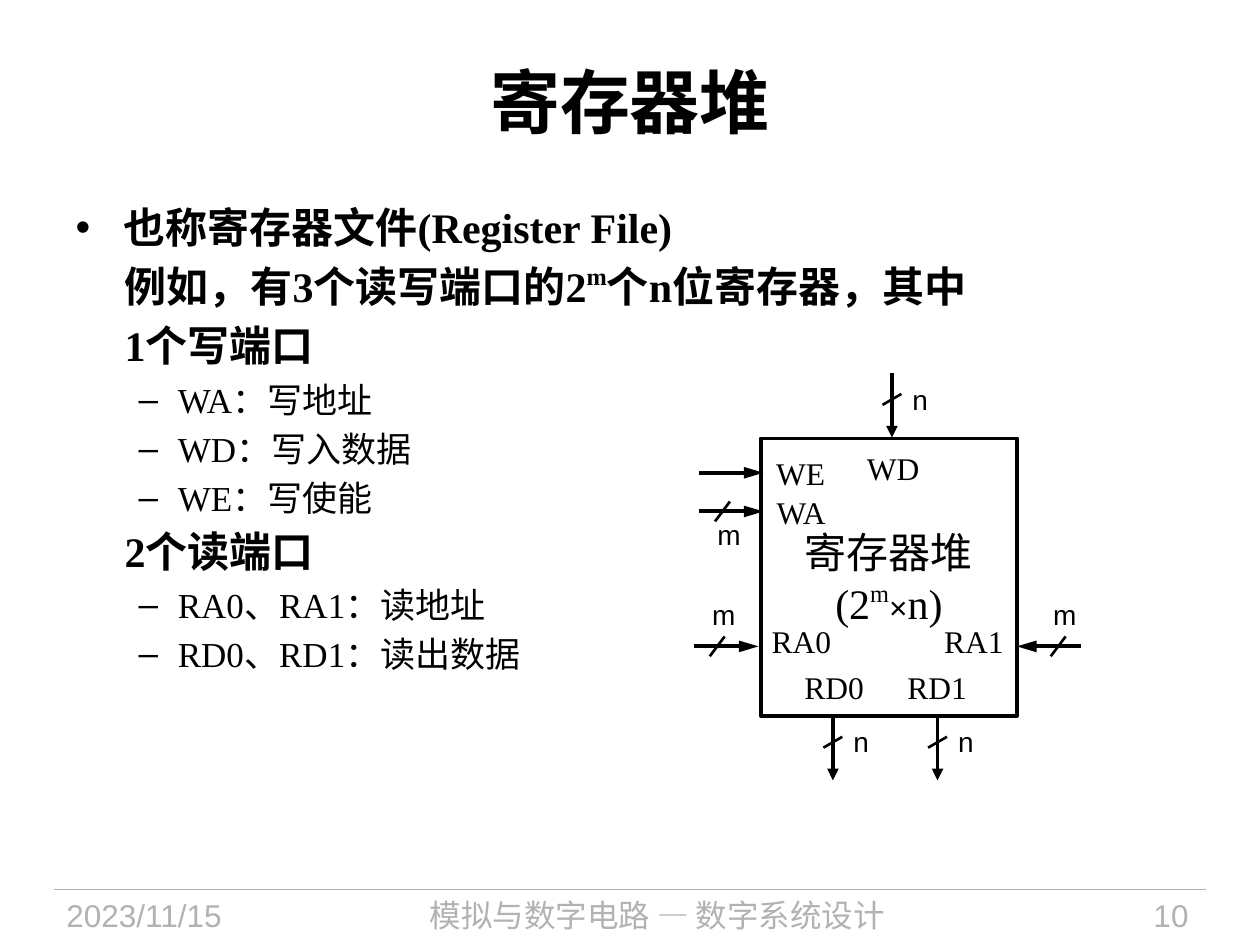
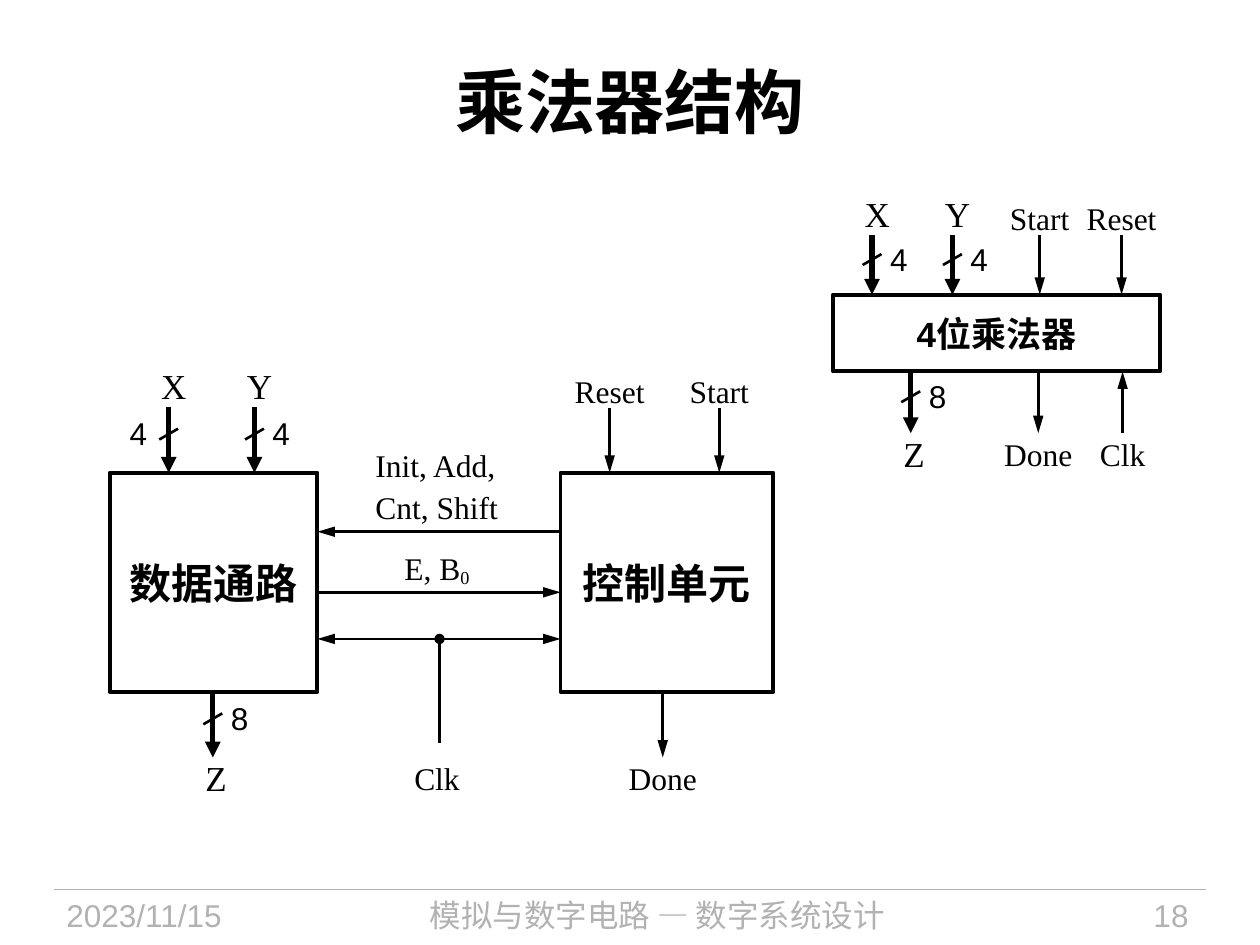
import pptx
import pptx.util
import pptx.dml.color
import pptx.enum.shapes
import pptx.enum.text
import pptx.oxml.ns
from lxml import etree

Cm, Pt = pptx.util.Cm, pptx.util.Pt
ALIGN = pptx.enum.text.PP_ALIGN
MIDDLE = pptx.enum.text.MSO_ANCHOR.MIDDLE
HUES = {"ink": "000000", "foot": "B2B2B2"}
SERIF, SANS, HAN = "Times New Roman", "Arial", "Noto Sans CJK SC"


def rgb(name):
    return pptx.dml.color.RGBColor.from_string(HUES[name])


def sub(parent, tag, **attrs):
    return etree.SubElement(parent, pptx.oxml.ns.qn(tag), attrs)


# ---- text ----
def write(para, text, size=18, font=SERIF, hue="ink", bold=False,
          align=None, lead=None, after=None):
    """Fill a paragraph; text is a string or a list of (string, changes)."""
    para.alignment = align
    if lead:
        para.line_spacing = lead
    if after is not None:
        para.space_after = Pt(after)
    for part, change in [(text, {})] if isinstance(text, str) else text:
        run = para.add_run()
        run.text = part
        run.font.size = Pt(change.get("size", size))
        run.font.name = change.get("font", font)
        run.font.bold = bold
        run.font.color.rgb = rgb(hue)
        props = run.font._element
        sub(props, "a:ea", typeface=HAN)
        if "base" in change:
            props.set("baseline", str(change["base"] * 1000))


def fill(frame, lines, **style):
    for i, line in enumerate(lines):
        para = frame.add_paragraph() if i else frame.paragraphs[0]
        write(para, line, **style)


def label(slide, lines, x, y, w=None, pad=0, size=18, lead=1.1,
          align=ALIGN.CENTER, **style):
    """Place text with its top at y, centred on x unless a width is given."""
    if isinstance(lines, str):
        lines = [lines]
    if w is None:
        w = max(len(line) for line in lines) * size * 0.02
        x -= w / 2
    h = len(lines) * size * 0.04 * lead + pad
    box = slide.shapes.add_textbox(Cm(x), Cm(y), Cm(w), Cm(h))
    frame = box.text_frame
    frame.word_wrap = False
    frame.margin_left = frame.margin_right = Cm(pad)
    frame.margin_top = frame.margin_bottom = Cm(pad / 2)
    fill(frame, lines, size=size, lead=lead, align=align, **style)


# ---- lines and blocks ----
def wire(slide, x1, y1, x2, y2, width=1.5, hue="ink", head=None, tail=None,
         reach="lg"):
    line = slide.shapes.add_connector(
        pptx.enum.shapes.MSO_CONNECTOR.STRAIGHT, Cm(x1), Cm(y1), Cm(x2), Cm(y2))
    line.line.width = Pt(width)
    line.line.color.rgb = rgb(hue)
    stroke = line.line._get_or_add_ln()
    for tag, kind in (("a:headEnd", head), ("a:tailEnd", tail)):
        if kind:
            size = "med" if kind == "oval" else reach
            sub(stroke, tag, type=kind, w="med", len=size)
    sub(line.element.spPr, "a:effectLst")
    return line


def bus(slide, x, y, dx, dy, bits, off=(0.36, -0.31), width=3.0, size=18,
        reach="med"):
    """Arrow with a slash across it and its bit width at an offset."""
    wire(slide, x, y, x + dx, y + dy, width, tail="triangle", reach=reach)
    part, sx, sy = (0.41, 0.19, 0.11) if dy else (0.36, 0.15, 0.2)
    mx, my = x + dx * part, y + dy * part
    wire(slide, mx + sx, my - sy, mx - sx, my + sy)
    label(slide, bits, mx + off[0], my + off[1], w=size * 0.02, size=size,
          font=SANS, lead=0.9)


def block(slide, x, y, w, h, lines, **style):
    shape = slide.shapes.add_shape(
        pptx.enum.shapes.MSO_SHAPE.RECTANGLE, Cm(x), Cm(y), Cm(w), Cm(h))
    shape.shadow.inherit = False
    shape.fill.background()
    shape.line.width = Pt(2.25)
    shape.line.color.rgb = rgb("ink")
    frame = shape.text_frame
    frame.word_wrap = False
    frame.vertical_anchor = MIDDLE
    frame.margin_left = frame.margin_right = 0
    frame.margin_top = frame.margin_bottom = 0
    fill(frame, lines, align=ALIGN.CENTER, **style)


def pin(slide, name, x, edge, dy, bits=None, into=None, off=(0.36, -0.31)):
    """Named signal that runs from a block edge outward by dy."""
    into = dy < 0 if into is None else into
    outer = edge + dy
    start, end = (outer, edge) if into else (edge, outer)
    if bits:
        bus(slide, x, start, 0, end - start, bits, off)
        top = outer - 0.77 if dy < 0 else outer + 0.08
        label(slide, name, x + 0.05, top, size=20, lead=0.9)
    else:
        wire(slide, x, start, x, end, tail="triangle")
        label(slide, name, x, outer - 0.8 if dy < 0 else outer - 0.04)


# ---- shared slide parts ----
def start(prs, layout, title, number):
    slide = prs.slides.add_slide(prs.slide_layouts[layout])
    head = slide.shapes.title
    head.left, head.top, head.width, head.height = Cm(1.27), Cm(0.43), Cm(22.86), Cm(3.18)
    head.text_frame.vertical_anchor = MIDDLE
    write(head.text_frame.paragraphs[0], title, size=40, bold=True,
          align=ALIGN.CENTER)
    for text, x, w, align, font in (
            ("2023/11/15", 1.09, 4.78, ALIGN.LEFT, SANS),
            ("模拟与数字电路 — 数字系统设计", 6.1, 14.3, ALIGN.CENTER, HAN),
            (str(number), 20.83, 3.38, ALIGN.RIGHT, SANS)):
        label(slide, text, x, 17.93, w, pad=0.25, lead=1.0, align=align,
              font=font, hue="foot")
    return slide


def rule(prs, slide):
    """Put the footer line on the master."""
    line = wire(slide, 1.09, 17.93, 24.31, 17.93, 0.75, "foot")
    prs.slide_master.shapes.element.append(line.element)


# ---- register file ----
def points(slide, x, y, w, h):
    body = slide.placeholders[1]
    body.left, body.top, body.width, body.height = Cm(x), Cm(y), Cm(w), Cm(h)
    frame = body.text_frame
    frame.auto_size = pptx.enum.text.MSO_AUTO_SIZE.NONE
    lines = (
        ("•", "也称寄存器文件(Register File)"),
        ("", [("例如，有3个读写端口的2", {}), ("m", {"base": 40}),
              ("个n位寄存器，其中", {})]),
        ("", "1个写端口"),
        ("–", "WA：写地址"),
        ("–", "WD：写入数据"),
        ("–", "WE：写使能"),
        ("", "2个读端口"),
        ("–", "RA0、RA1：读地址"),
        ("–", "RD0、RD1：读出数据"))
    forms = {"•": (0.97, -0.97), "": (0.99, 0), "–": (2.06, -0.79)}
    for i, (mark, text) in enumerate(lines):
        para = frame.add_paragraph() if i else frame.paragraphs[0]
        minor = mark == "–"
        para.level = int(minor)
        para.space_before = Pt(0)
        size = 20 if minor else 24
        props = para._p.get_or_add_pPr()
        left, hang = forms[mark]
        props.set("marL", str(Cm(left)))
        props.set("indent", str(Cm(hang)))
        write(para, text, size=size, bold=not minor, after=size * 0.2)
        if mark:
            sub(props, "a:buFont", typeface=SANS)
            sub(props, "a:buChar", char=mark)
        else:
            sub(props, "a:buNone")


def bank(slide, x, y, w, h):
    block(slide, x, y, w, h, [
        "寄存器堆",
        [("(2", {}), ("m", {"base": 40}), ("×", {"size": 18, "font": SANS}),
         ("n)", {})]], size=24)
    for name, dx, dy, wide in (
            ("WE", 0.05, 0.18, 1.5), ("WA", 0.05, 0.97, 1.52),
            ("WD", 1.88, 0.08, 1.57), ("RA0", -0.05, 3.58, 1.73),
            ("RA1", 3.43, 3.58, 1.73), ("RD0", 0.61, 4.5, 1.73),
            ("RD1", 2.69, 4.5, 1.73)):
        label(slide, name, x + dx, y + dy, wide, pad=0.25, lead=1.0)
    # data ports, top and bottom
    thin = dict(width=2.25, size=16)
    for dx, dy in ((2.64, -1.32), (1.45, h), (3.56, h)):
        bus(slide, x + dx, y + dy, 0, 1.3, "n", (0.41, -0.27), **thin)
    # address ports, left and right
    wire(slide, x - 1.24, y + 0.69, x + 0.05, y + 0.69, 2.25, tail="triangle")
    for dx, dy, run, drop in ((-1.24, 1.47, 1.29, 0.2), (-1.35, 4.19, 1.3, -0.91),
                              (w + 1.3, 4.19, -1.3, -0.91)):
        bus(slide, x + dx, y + dy, run, 0, "m", (-0.1, drop), reach="lg", **thin)


# ---- multiplier ----
def chip(slide, x, y, w, h):
    block(slide, x, y, w, h, ["4位乘法器"], size=20, font=SANS, bold=True)
    for name, dx, bits in (("X", 0.79, "4"), ("Y", 2.41, "4"),
                           ("Start", 4.17, None), ("Reset", 5.82, None)):
        pin(slide, name, x + dx, y, -1.2, bits)
    for name, dx, bits, into in (("Z", 1.57, "8", False), ("Done", 4.14, None, False),
                                 ("Clk", 5.84, None, True)):
        pin(slide, name, x + dx, y + h, 1.24, bits, into)


def parts(slide, x, y, w, h):
    side, far = 4.19, w - 4.29
    bold = dict(size=24, font=SANS, bold=True)
    block(slide, x, y, side, h, ["数据通路"], **bold)
    block(slide, x + far, y, w - far, h, ["控制单元"], **bold)
    # outer signals
    pin(slide, "X", x + 1.19, y, -1.32, "4", off=(-0.79, -0.31))
    pin(slide, "Y", x + 2.92, y, -1.32, "4")
    pin(slide, "Reset", x + 10.08, y, -1.3)
    pin(slide, "Start", x + 12.29, y, -1.3)
    pin(slide, "Z", x + 2.08, y + h, 1.32, "8")
    pin(slide, "Done", x + 11.15, y + h, 1.32)
    # links between the two units
    tip = "triangle"
    for dy, head, tail in ((1.19, None, tip), (2.41, tip, None), (3.35, tip, tip)):
        wire(slide, x + far, y + dy, x + side, y + dy, head=head, tail=tail)
    label(slide, ["Init, Add,", "Cnt, Shift"], x + 5.36, y - 0.61, 2.77,
          align=ALIGN.LEFT)
    label(slide, [[("E, B", {}), ("0", {"base": -10})]], x + 5.84, y + 1.47, 1.52)
    # clock
    wire(slide, x + 6.65, y + 3.35, x + 6.65, y + 5.44, head="oval")
    label(slide, "Clk", x + 6.6, y + 5.69)


def main():
    prs = pptx.Presentation()
    prs.slide_width, prs.slide_height = Cm(25.4), Cm(19.05)
    slide = start(prs, 1, "寄存器堆", 10)
    rule(prs, slide)
    points(slide, 1.27, 3.94, 22.86, 13.59)
    bank(slide, 15.34, 8.84, 5.16, 5.59)
    slide = start(prs, 5, "乘法器结构", 18)
    chip(slide, 16.79, 5.94, 6.6, 1.55)
    parts(slide, 2.21, 9.53, 13.38, 4.42)
    prs.save("out.pptx")


if __name__ == "__main__":
    main()
